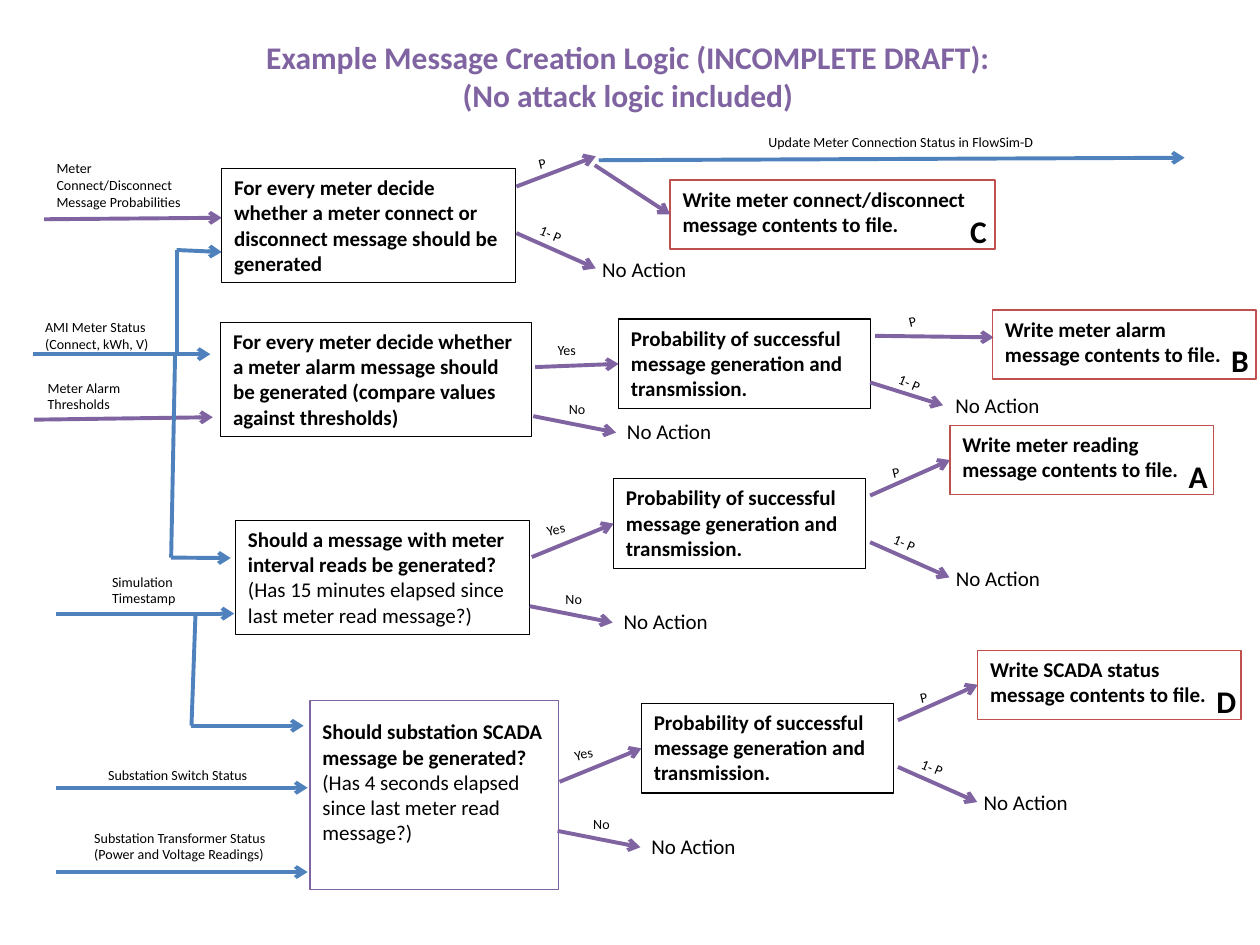
from dataclasses import dataclass, replace

from lxml.etree import SubElement
from pptx import Presentation
from pptx.dml.color import RGBColor
from pptx.enum.shapes import MSO_CONNECTOR, MSO_SHAPE
from pptx.enum.text import MSO_ANCHOR, PP_ALIGN
from pptx.oxml.ns import qn
from pptx.util import Cm, Pt

BLACK = RGBColor(0x00, 0x00, 0x00)
BLUE = RGBColor(0x4F, 0x81, 0xBD)
PURPLE = RGBColor(0x80, 0x64, 0xA2)
RED = RGBColor(0xC0, 0x50, 0x4D)
FONT = "Calibri"
RISING, FALLING = 346.7, 22.6
PROBABILITY = "Probability of successful message generation and transmission."


@dataclass(frozen=True)
class Branch:
    """One labelled arrow; positions are in cm from the origin of its split."""
    label: str
    start: tuple
    end: tuple
    label_at: tuple
    label_width: float
    rotation: float = 0


@dataclass(frozen=True)
class Split:
    """Two branches, the lower one leading to "No Action"."""
    upper: Branch
    lower: Branch
    no_action: tuple


@dataclass(frozen=True)
class Lane:
    """Positions in cm from the corner of the probability box."""
    decision: Split
    decision_at: tuple
    chance: Split
    result_at: tuple


DECISION = Split(Branch("Yes", (0, 0), (1.63, -0.58), (0.05, -0.87), 0.91, RISING),
                 Branch("No", (-0.04, 0.99), (1.63, 1.32), (0.43, 0.55), 0.91),
                 (1.6, 0.91))
CHANCE = Split(Branch("P", (0, 0), (1.6, -0.61), (0.2, -0.76), 0.66, RISING),
               Branch("1- P", (0, 0.94), (1.6, 1.65), (0.22, 0.66), 0.97, FALLING),
               (1.48, 1.28))
STANDARD_LANE = Lane(DECISION, (-1.65, 1.58), CHANCE, (6.78, -1.07))
ALARM_LANE = Lane(
    replace(DECISION, upper=replace(DECISION.upper, end=(1.68, -0.07),
                                    label_at=(0.2, -0.64), rotation=0)),
    (-1.68, 0.97),
    Split(replace(CHANCE.upper, end=(2.39, 0.03), label_at=(0.43, -0.58)),
          replace(CHANCE.lower, start=(-0.1, 0.94), end=(1.37, 1.4)),
          (1.37, 1.02)),
    (7.54, -0.18))


def write(shape, text, size, bold=False, color=BLACK, alignment=PP_ALIGN.LEFT):
    frame = shape.text_frame
    frame.text = text
    for paragraph in frame.paragraphs:
        style(paragraph, size, bold, color, alignment)


def style(paragraph, size, bold, color=BLACK, alignment=PP_ALIGN.LEFT):
    paragraph.alignment = alignment
    font = paragraph.font
    font.name, font.size, font.bold = FONT, Pt(size), bold
    font.color.rgb = color


def add_label(slide, left, top, width, height, text, size=8, wrap=False,
              rotation=0, **text_style):
    label = slide.shapes.add_textbox(Cm(left), Cm(top), Cm(width), Cm(height))
    label.text_frame.word_wrap = wrap
    label.rotation = rotation
    write(label, text, size, **text_style)


def add_box(slide, left, top, width, height, text, line_color=BLACK):
    box = slide.shapes.add_shape(MSO_SHAPE.RECTANGLE, Cm(left), Cm(top),
                                 Cm(width), Cm(height))
    box.shadow.inherit = False
    box.fill.background()
    box.line.color.rgb = line_color
    box.line.width = Pt(0.75)
    box.text_frame.word_wrap = True
    box.text_frame.vertical_anchor = MSO_ANCHOR.TOP
    write(box, text, 12, bold=True)
    return box


def add_line(slide, start, end, color, arrow=True):
    line = slide.shapes.add_connector(MSO_CONNECTOR.STRAIGHT, Cm(start[0]), Cm(start[1]),
                                      Cm(end[0]), Cm(end[1]))
    line.line.color.rgb = color
    line.line.width = Pt(2.25)
    if arrow:
        SubElement(line.line._get_or_add_ln(), qn("a:tailEnd"), type="arrow")
    SubElement(line._element.spPr, qn("a:effectLst"))
    return line


def add_split(slide, left, top, split):
    """Draw both branches and return the upper arrow."""
    def place(point):
        return left + point[0], top + point[1]

    arrows = []
    for branch in (split.upper, split.lower):
        arrows.append(add_line(slide, place(branch.start), place(branch.end), PURPLE))
        add_label(slide, *place(branch.label_at), branch.label_width, 0.61,
                  branch.label, rotation=branch.rotation)
    add_label(slide, *place(split.no_action), 2.24, 0.76, "No Action", size=12)
    return arrows[0]


def add_result(slide, left, top, width, text, letter):
    box = add_box(slide, left, top, width, 1.39, text, RED)
    add_label(slide, left + width - 0.75, top + 0.51, 0.9, 1.02, letter,
              size=18, wrap=True, bold=True)
    return box


def add_lane(slide, left, top, lane, text, letter):
    """Draw from the yes/no split to the result; return the last arrow and its box."""
    def place(point):
        return left + point[0], top + point[1]

    probability_box = add_box(slide, left, top, 5.08, 1.81, PROBABILITY)
    yes_arrow = add_split(slide, *place(lane.decision_at), lane.decision)
    yes_arrow.end_connect(probability_box, 1)
    result_arrow = add_split(slide, *place((5.17, 0.34)), lane.chance)
    result_box = add_result(slide, *place(lane.result_at), 5.31, text, letter)
    return result_arrow, result_box


def add_connect_region(slide, left, top):
    add_box(slide, left, top, 5.93, 2.3, "For every meter decide whether a meter "
            "connect or disconnect message should be generated")
    add_split(slide, left + 5.94, top + 0.36, CHANCE)
    result = add_result(slide, left + 9.04, top + 0.23, 6.55,
                        "Write meter connect/disconnect message contents to file.", "C")
    arrow = add_line(slide, (left + 7.52, top - 0.07), (left + 9.04, top + 0.92), PURPLE)
    arrow.end_connect(result, 1)
    add_line(slide, (left + 7.6, top - 0.17), (left + 19.41, top - 0.22), BLUE)
    add_label(slide, left + 10.77, top - 0.83, 6.88, 0.61,
              "Update Meter Connection Status in FlowSim-D", wrap=True)


def add_alarm_region(slide, left, top):
    add_box(slide, left, top, 6.27, 2.3, "For every meter decide whether a meter alarm "
            "message should be generated (compare values against thresholds)")
    add_lane(slide, left + 8.02, top - 0.07, ALARM_LANE,
             "Write meter alarm message contents to file.", "B")


def add_reading_region(slide, left, top):
    box = add_box(slide, left, top, 5.93, 2.3,
                  "Should a message with meter interval reads be generated? ")
    detail = box.text_frame.paragraphs[0].add_run()
    detail.text = "(Has 15 minutes elapsed since last meter read message?)"
    detail.font.bold = False
    arrow, result = add_lane(slide, left + 7.62, top - 0.84, STANDARD_LANE,
                             "Write meter reading message contents to file.", "A")
    arrow.end_connect(result, 1)


def add_scada_region(slide, left, top):
    box = add_box(slide, left, top, 5.01, 3.81,
                  "Should substation SCADA message be generated?", PURPLE)
    box.text_frame.vertical_anchor = MSO_ANCHOR.MIDDLE
    box.text_frame.margin_bottom = Cm(0.65)
    detail = box.text_frame.add_paragraph()
    detail.text = "(Has 4 seconds elapsed since last meter read message?)"
    style(detail, 12, bold=False)
    arrow, result = add_lane(slide, left + 6.68, top + 0.06, STANDARD_LANE,
                             "Write SCADA status message contents to file.", "D")
    arrow.end_connect(result, 1)


def add_inputs(slide):
    inputs = [  # arrow start, arrow end, colour, label box, label, wrap
        ((0.89, 4.42), (4.47, 4.39), PURPLE, (0.89, 3.1, 3.45, 1.27),
         "Meter Connect/Disconnect Message Probabilities", True),
        ((0.66, 7.14), (4.24, 7.14), BLUE, (0.66, 6.3, 2.62, 0.94),
         "AMI Meter Status\n(Connect, kWh, V)", False),
        ((0.69, 8.46), (4.29, 8.41), PURPLE, (0.71, 7.52, 3.45, 0.94),
         "Meter Alarm\nThresholds", True),
        ((1.12, 12.37), (4.72, 12.37), BLUE, (2.01, 11.43, 1.83, 0.94),
         "Simulation\nTimestamp", False),
        ((1.12, 15.88), (6.2, 15.88), BLUE, (1.93, 15.32, 3.35, 0.61),
         "Substation Switch Status", False),
        ((1.12, 17.58), (6.2, 17.58), BLUE, (1.65, 16.59, 4.04, 0.94),
         "Substation Transformer Status\n(Power and Voltage Readings)", False),
    ]
    for start, end, color, label_box, text, wrap in inputs:
        add_line(slide, start, end, color)
        add_label(slide, *label_box, text, wrap=wrap)

    feeds = [  # from an input, round a corner, to a decision box
        ((3.56, 7.14), (3.56, 5.04), (4.47, 5.08)),
        ((3.53, 7.11), (3.45, 11.24), (4.65, 11.25)),
        ((3.94, 12.4), (3.86, 14.63), (6.12, 14.63)),
    ]
    for start, corner, end in feeds:
        add_line(slide, start, corner, BLUE, arrow=False)
        add_line(slide, corner, end, BLUE)


def main():
    presentation = Presentation()
    presentation.slide_width, presentation.slide_height = Cm(25.4), Cm(19.05)
    slide = presentation.slides.add_slide(presentation.slide_layouts[6])
    add_label(slide, 0, 0.64, 25.32, 1.8,
              "Example Message Creation Logic (INCOMPLETE DRAFT):\n(No attack logic included)",
              size=18, wrap=True, bold=True, color=PURPLE, alignment=PP_ALIGN.CENTER)
    add_inputs(slide)
    add_connect_region(slide, 4.47, 3.4)
    add_alarm_region(slide, 4.45, 6.5)
    add_reading_region(slide, 4.75, 10.49)
    add_scada_region(slide, 6.25, 14.12)
    presentation.save("out.pptx")


if __name__ == "__main__":
    main()
